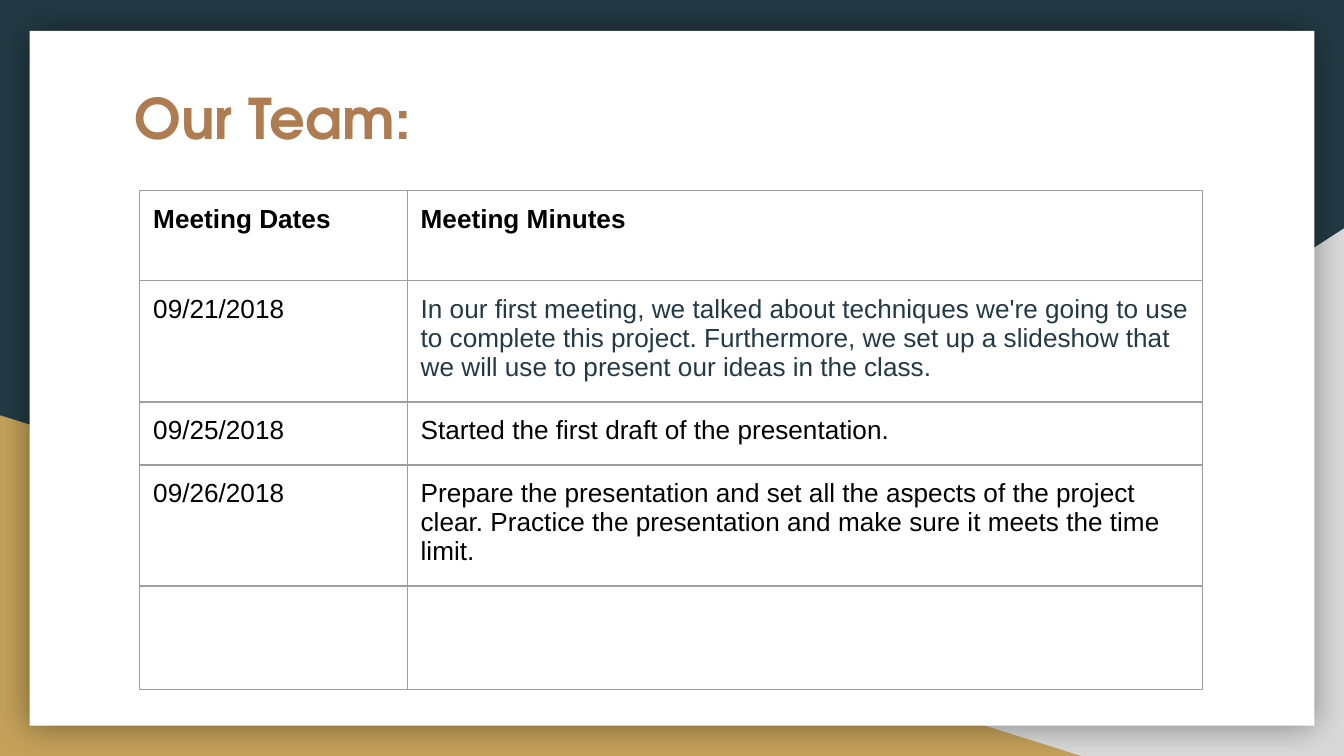
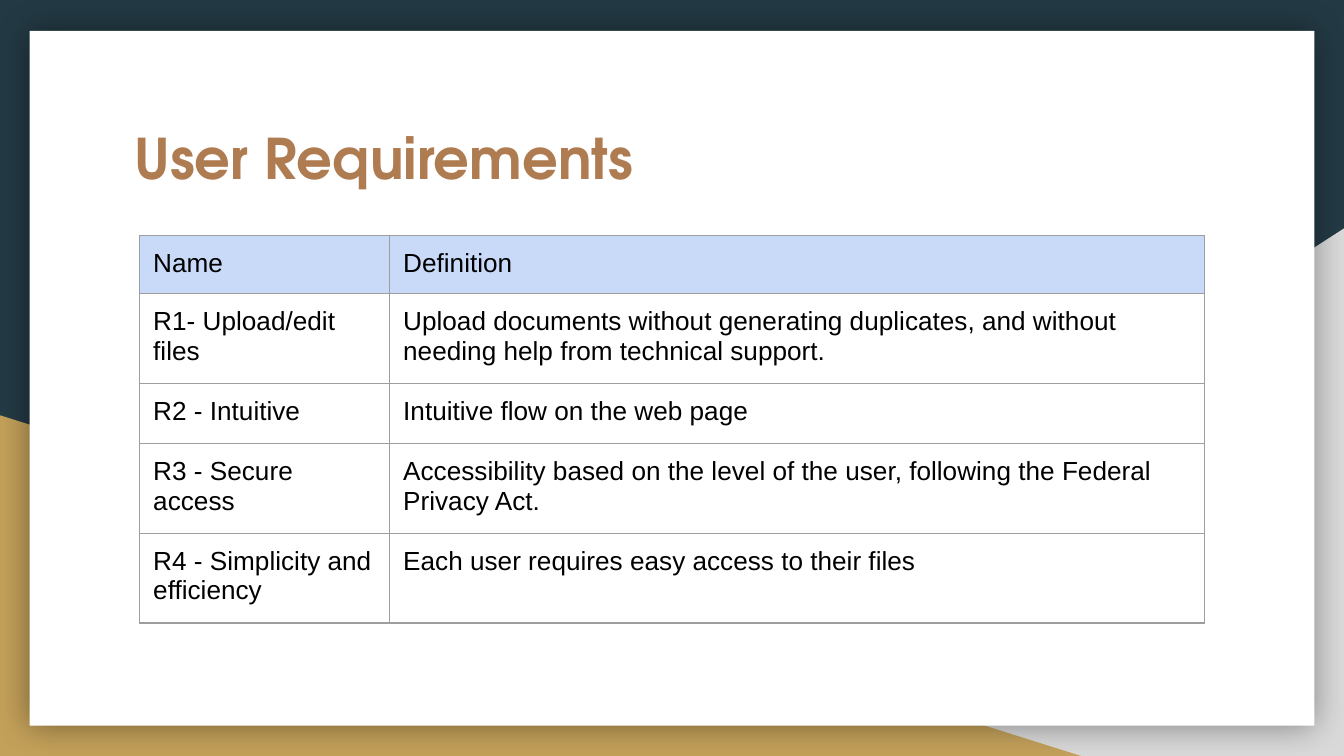
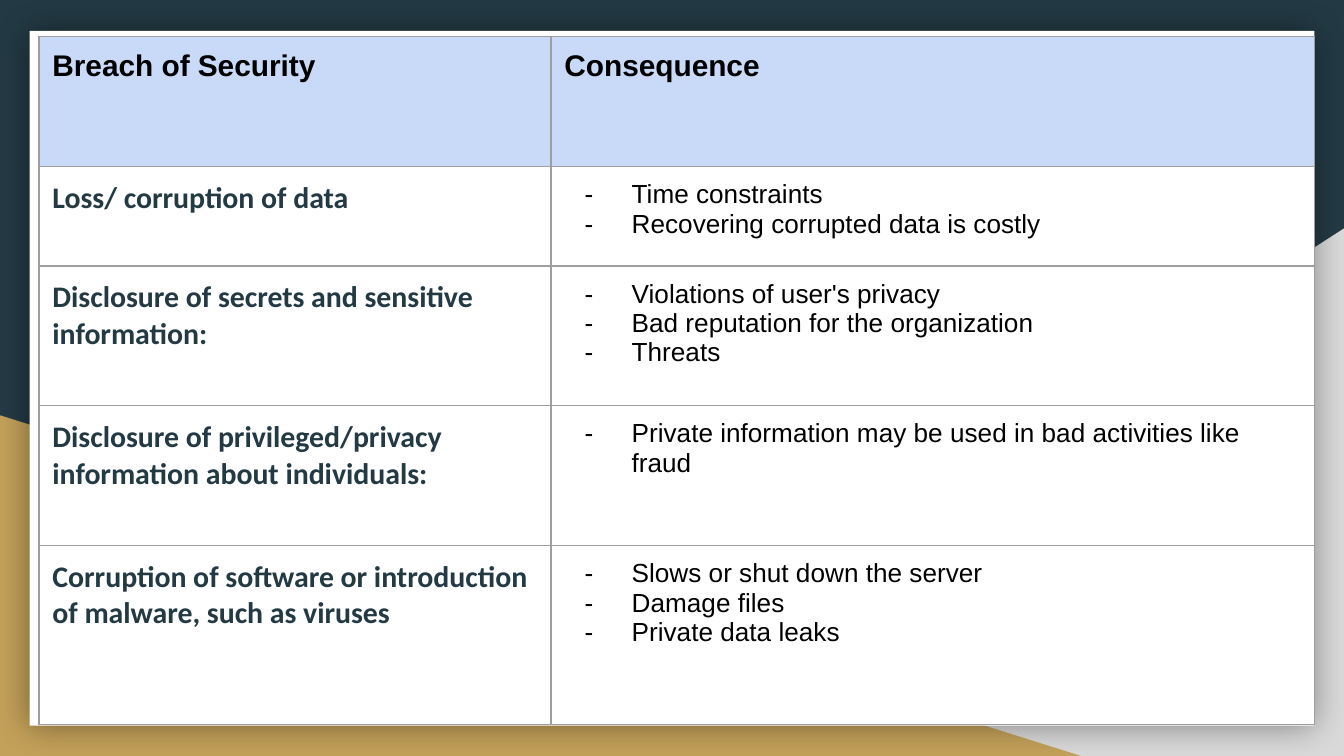
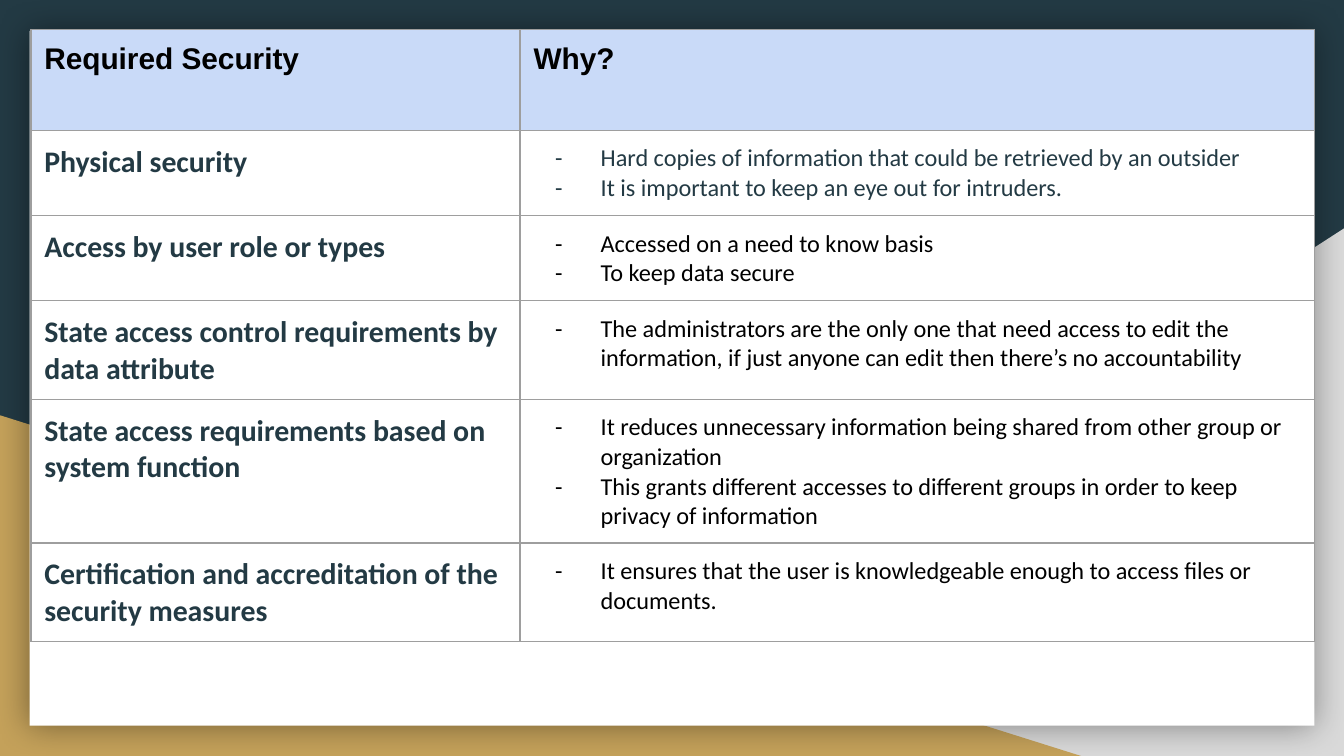
from dataclasses import dataclass

from lxml import etree
from pptx import Presentation
from pptx.dml.color import RGBColor
from pptx.enum.shapes import MSO_SHAPE
from pptx.oxml.ns import qn
from pptx.util import Inches, Pt


@dataclass(frozen=True)
class Theme:
    """Colours, fonts and type sizes of the whole deck."""
    navy: str = "233A44"
    gold: str = "C4A15A"
    grey: str = "D9D9D9"
    white: str = "FFFFFF"
    black: str = "000000"
    copper: str = "AF7B51"
    header_blue: str = "C9DAF8"
    border: str = "9E9E9E"
    title_font: str = "TeX Gyre Adventor"
    body_font: str = "Arial"
    topic_font: str = "Calibri"
    title_size: int = 30
    heading_size: int = 16
    body_size: int = 14
    note_size: int = 13


@dataclass(frozen=True)
class TextStyle:
    """Look of the text in one cell or title; hanging is the dash indent."""
    font: str
    size: int
    color: str
    bold: bool = False
    space_after: int = 0
    hanging: float = 0


THEME = Theme()
TITLE = TextStyle(THEME.title_font, THEME.title_size, THEME.copper, bold=True)
BODY = TextStyle(THEME.body_font, THEME.body_size, THEME.black)
BODY_NAVY = TextStyle(THEME.body_font, THEME.body_size, THEME.navy)
BODY_BOLD = TextStyle(THEME.body_font, THEME.body_size, THEME.black, bold=True)
HEADING = TextStyle(THEME.body_font, THEME.heading_size, THEME.black, bold=True)
TOPIC = TextStyle(THEME.topic_font, THEME.heading_size, THEME.navy, bold=True, space_after=16)
DASHED = TextStyle(THEME.body_font, THEME.body_size, THEME.black, hanging=0.35)
NOTE = TextStyle(THEME.topic_font, THEME.note_size, THEME.black, hanging=0.34)
NOTE_NAVY = TextStyle(THEME.topic_font, THEME.note_size, THEME.navy, hanging=0.34)

# Background: shape, left, top, width, height, colour, mirrored
BACKDROP = [
    (MSO_SHAPE.RIGHT_TRIANGLE, 3.92, 1.7, 6.08, 3.93, THEME.grey, True),
    (MSO_SHAPE.RIGHT_TRIANGLE, 0, 3.09, 8.06, 2.54, THEME.gold, False),
    (MSO_SHAPE.RECTANGLE, 0.22, 0.23, 9.56, 5.17, THEME.white, False),
]

# Each row: first cell, its style, second cell, its style.
# A line break in a cell starts a new paragraph.
SLIDES = [
    {
        "title": ("Our Team:", 0.52, 1.0),
        "origin": (1.04, 1.42),
        "columns": (1.99, 5.92),
        "heights": (0.67, 0.8, 0.47, 0.77, 0.77),
        "header_fill": None,
        "rows": [
            ("Meeting Dates", BODY_BOLD, "Meeting Minutes", BODY_BOLD),
            ("09/21/2018", BODY,
             "In our first meeting, we talked about techniques we're going to use to "
             "complete this project. Furthermore, we set up a slideshow that we will "
             "use to present our ideas in the class.", BODY_NAVY),
            ("09/25/2018", BODY, "Started the first draft of the presentation.", BODY),
            ("09/26/2018", BODY,
             "Prepare the presentation and set all the aspects of the project clear. "
             "Practice the presentation and make sure it meets the time limit.", BODY),
            ("", BODY, "", BODY),
        ],
    },
    {
        "title": ("User Requirements", 0.82, 0.63),
        "origin": (1.04, 1.75),
        "columns": (1.86, 6.06),
        "heights": (0.29, 0.59, 0.45, 0.45, 0.45),
        "header_fill": THEME.header_blue,
        "rows": [
            ("Name", BODY, "Definition", BODY),
            ("R1- Upload/edit files", BODY,
             "Upload documents without generating duplicates, and without needing "
             "help from technical support.", BODY),
            ("R2 - Intuitive", BODY, "Intuitive flow on the web page", BODY),
            ("R3 - Secure access", BODY,
             "Accessibility based on the level of the user, following the Federal "
             "Privacy Act.", BODY),
            ("R4 - Simplicity and efficiency", BODY,
             "Each user requires easy access to their files", BODY),
        ],
    },
    {
        "title": None,
        "origin": (0.29, 0.27),
        "columns": (3.81, 5.68),
        "heights": (0.97, 0.74, 1.04, 1.04, 1.33),
        "header_fill": THEME.header_blue,
        "rows": [
            ("Breach of Security", HEADING, "Consequence", HEADING),
            ("Loss/ corruption of data", TOPIC,
             "Time constraints\nRecovering corrupted data is costly", DASHED),
            ("Disclosure of secrets and sensitive information:", TOPIC,
             "Violations of user's privacy\nBad reputation for the organization\n"
             "Threats", DASHED),
            ("Disclosure of privileged/privacy information about individuals:", TOPIC,
             "Private information may be used in bad activities like fraud", DASHED),
            ("Corruption of software or introduction of malware, such as viruses", TOPIC,
             "Slows or shut down the server\nDamage files\nPrivate data leaks", DASHED),
        ],
    },
    {
        "title": None,
        "origin": (0.23, 0.22),
        "columns": (3.64, 5.91),
        "heights": (0.75, 0.39, 0.35, 0.57, 0.66, 0.67),
        "header_fill": THEME.header_blue,
        "rows": [
            ("Required Security", HEADING, "Why?", HEADING),
            ("Physical security", TOPIC,
             "Hard copies of information that could be retrieved by an outsider\n"
             "It is important to keep an eye out for intruders.", NOTE_NAVY),
            ("Access by user role or types", TOPIC,
             "Accessed on a need to know basis\nTo keep data secure", NOTE),
            ("State access control requirements by data attribute", TOPIC,
             "The administrators are the only one that need access to edit the "
             "information, if just anyone can edit then there’s no accountability", NOTE),
            ("State access requirements based on system function", TOPIC,
             "It reduces unnecessary information being shared from other group or "
             "organization\nThis grants different accesses to different groups in "
             "order to keep privacy of information", NOTE),
            ("Certification and accreditation of the security measures", TOPIC,
             "It ensures that the user is knowledgeable enough to access files or "
             "documents.", NOTE),
        ],
    },
]


def add_xml(parent, tag, **attributes):
    """Append a drawing element with its attributes and return it."""
    child = etree.SubElement(parent, qn(tag))
    for key, value in attributes.items():
        child.set(key, str(value))
    return child


def write_text(frame, text, style):
    """Fill a text frame and format its paragraphs in one style."""
    frame.text = text
    frame.word_wrap = True
    frame.margin_left = frame.margin_right = Inches(0.1)
    frame.margin_top = frame.margin_bottom = Inches(0.1)
    for paragraph in frame.paragraphs:
        if style.space_after:
            paragraph.space_after = Pt(style.space_after)
        if style.hanging:
            properties = paragraph._p.get_or_add_pPr()
            properties.set("marL", str(Inches(0.5)))
            properties.set("indent", str(-Inches(style.hanging)))
            add_xml(add_xml(properties, "a:buClr"), "a:srgbClr", val=style.color)
            add_xml(properties, "a:buSzPts", val=style.size * 100)
            add_xml(properties, "a:buFont", typeface=style.font)
            add_xml(properties, "a:buChar", char="-")
        for run in paragraph.runs:
            run.font.name = style.font
            run.font.size = Pt(style.size)
            run.font.bold = style.bold
            run.font.color.rgb = RGBColor.from_string(style.color)


deck = Presentation()
deck.slide_width = Inches(10)
deck.slide_height = deck.slide_width * 9 // 16
blank = deck.slide_layouts[6]

for content in SLIDES:
    slide = deck.slides.add_slide(blank)
    slide.background.fill.solid()
    slide.background.fill.fore_color.rgb = RGBColor.from_string(THEME.navy)

    for preset, left, top, width, height, color, mirrored in BACKDROP:
        panel = slide.shapes.add_shape(
            preset, Inches(left), Inches(top), Inches(width), Inches(height))
        panel.shadow.inherit = False
        panel.fill.solid()
        panel.fill.fore_color.rgb = RGBColor.from_string(color)
        panel.line.fill.background()
        if mirrored:
            panel._element.spPr.find(qn("a:xfrm")).set("flipH", "1")

    # The white page comes last in the backdrop and casts a soft shadow.
    effects = panel._element.spPr.find(qn("a:effectLst"))
    glow = add_xml(effects, "a:outerShdw", blurRad=Pt(18), dist=0, dir=0,
                   algn="ctr", rotWithShape=0)
    glow_color = add_xml(glow, "a:srgbClr", val=THEME.black)
    add_xml(glow_color, "a:alpha", val=40000)

    if content["title"]:
        heading, top, height = content["title"]
        title = slide.shapes.add_textbox(
            Inches(0.9), Inches(top), Inches(8.21), Inches(height))
        write_text(title.text_frame, heading, TITLE)

    left, top = content["origin"]
    rows, columns, heights = content["rows"], content["columns"], content["heights"]
    holder = slide.shapes.add_table(
        len(rows), len(columns), Inches(left), Inches(top),
        Inches(sum(columns)), Inches(sum(heights)))
    grid = holder.table
    grid.first_row = grid.horz_banding = False
    for column, width in zip(grid.columns, columns):
        column.width = Inches(width)
    for row, height in zip(grid.rows, heights):
        row.height = Inches(height)
    # A small frame lets the rows take their own heights.
    holder.width = holder.height = Inches(3.28)

    for row_number, (first, first_style, second, second_style) in enumerate(rows):
        entries = [(first, first_style), (second, second_style)]
        for cell, (text, style) in zip(grid.rows[row_number].cells, entries):
            write_text(cell.text_frame, text, style)
            cell.margin_left = cell.margin_right = Inches(0.1)
            cell.margin_top = cell.margin_bottom = Inches(0.1)
            for side in ("a:lnL", "a:lnR", "a:lnT", "a:lnB"):
                edge = add_xml(cell._tc.get_or_add_tcPr(), side, w=Pt(0.75))
                add_xml(add_xml(edge, "a:solidFill"), "a:srgbClr", val=THEME.border)
            if row_number == 0 and content["header_fill"]:
                cell.fill.solid()
                cell.fill.fore_color.rgb = RGBColor.from_string(content["header_fill"])
            else:
                cell.fill.background()

deck.save("out.pptx")
